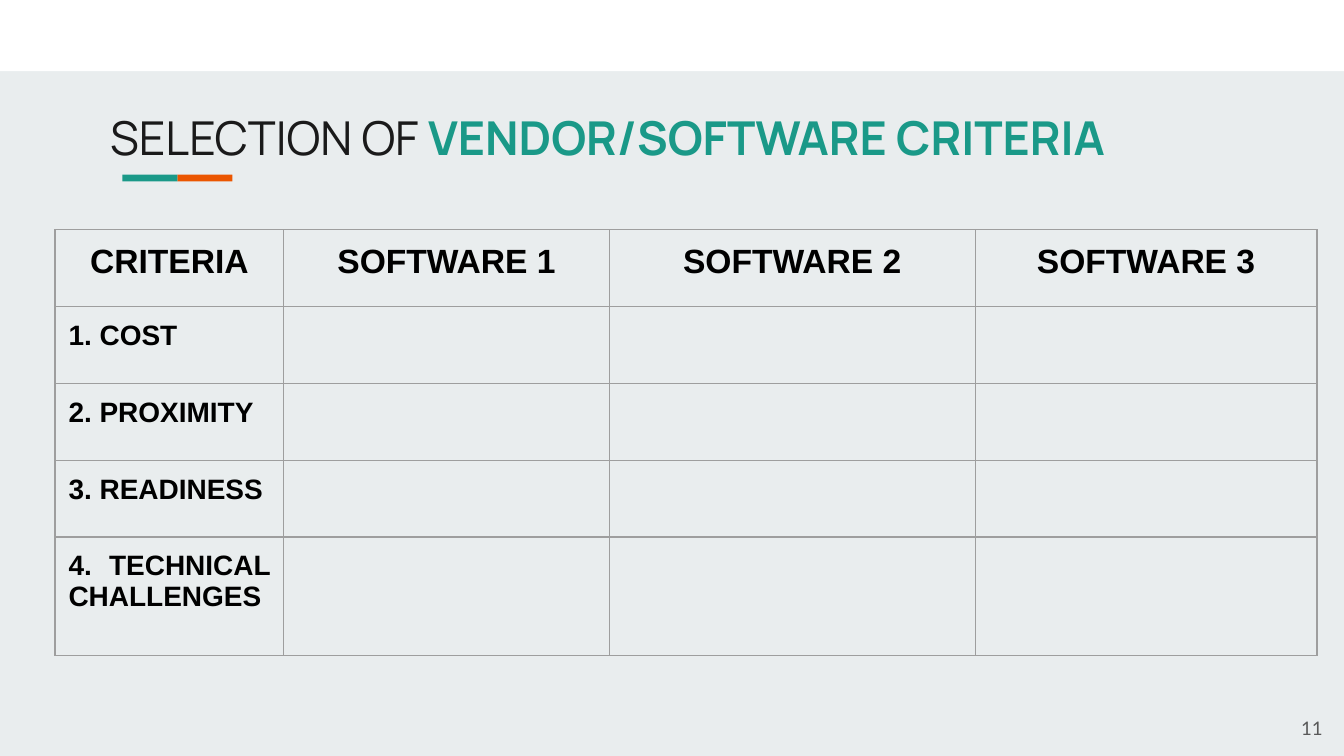
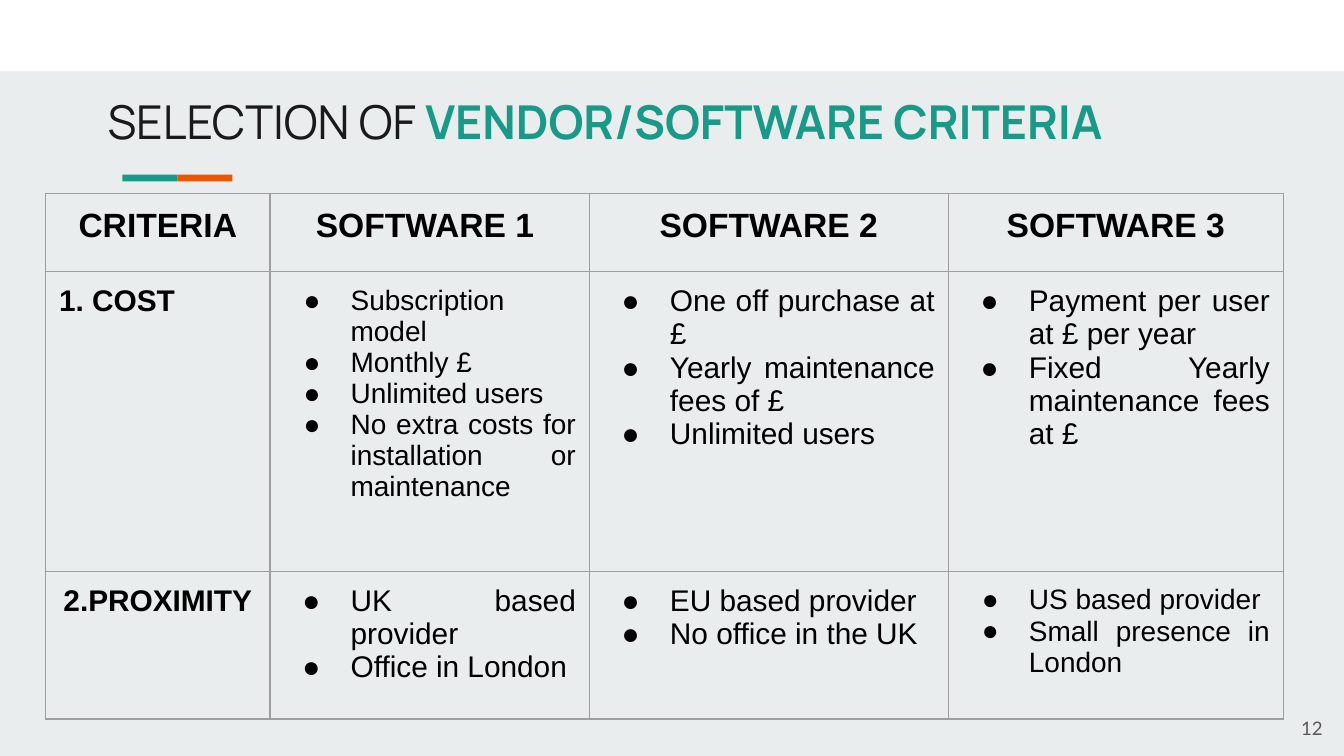
import pptx
import pptx.dml.color
import pptx.enum.shapes
import pptx.enum.text
import pptx.oxml
import pptx.oxml.ns
import pptx.util

Inches, Pt = pptx.util.Inches, pptx.util.Pt
RGBColor = pptx.dml.color.RGBColor
ALIGN = pptx.enum.text.PP_ALIGN
ANCHOR = pptx.enum.text.MSO_ANCHOR

PAPER = RGBColor(0xE9, 0xED, 0xEE)
WHITE = RGBColor(0xFF, 0xFF, 0xFF)
TEAL = RGBColor(0x1A, 0x99, 0x88)
ORANGE = RGBColor(0xEB, 0x56, 0x00)
INK = RGBColor(0x1A, 0x1A, 0x1A)
BLACK = RGBColor(0x00, 0x00, 0x00)
GREY = RGBColor(0x59, 0x59, 0x59)
BORDER = RGBColor(0x9E, 0x9E, 0x9E)

SLIDE_WIDTH = 10
SLIDE_HEIGHT = SLIDE_WIDTH * 9 / 16
BAR_LEFT, BAR_TOP, BAR_WIDTH, BAR_HEIGHT = 0.91, 1.3, 0.41, 0.05
COLUMN_WEIGHTS = (1.7, 2.42, 2.72, 2.54)
BULLET_LEFT = 0.5

# Left, top, width, height and fill of the shapes on every slide
DECORATION = [
    (0, 0, SLIDE_WIDTH, 0.53, WHITE),
    (BAR_LEFT + BAR_WIDTH, BAR_TOP, BAR_WIDTH, BAR_HEIGHT, ORANGE),
    (BAR_LEFT, BAR_TOP, BAR_WIDTH, BAR_HEIGHT, TEAL),
]
TITLE_RUNS = [
    ("SELECTION OF ", dict(size=Pt(25), name="Manrope", bold=False), INK),
    ("VENDOR/SOFTWARE CRITERIA", dict(size=Pt(25), name="Manrope", bold=True), TEAL),
]


# A cell is (label, size, alignment), or (list of bullets, size, alignment)
PAGES = [
    dict(
        number=11,
        title_box=(0.72, 0.71, 8.41, 1),
        table_box=(0.41, 1.71, 9.39, 3.17),
        row_weights=[0.57] * 4 + [0.88],
        rows=[
            [(name, 18, ALIGN.CENTER)
             for name in ("CRITERIA", "SOFTWARE 1", "SOFTWARE 2", "SOFTWARE 3")],
        ] + [
            [(label, 15, ALIGN.JUSTIFY)]
            for label in ("1. COST", "2. PROXIMITY", "3. READINESS",
                          "4. TECHNICAL CHALLENGES")
        ],
    ),
    dict(
        number=12,
        title_box=(0.7, 0.59, 8.41, 1.09),
        table_box=(0.34, 1.44, 9.21, 3.91),
        row_weights=[0.58, 2.23, 1.1],
        rows=[
            [(name, 18, ALIGN.CENTER)
             for name in ("CRITERIA", "SOFTWARE 1 ", "SOFTWARE 2", "SOFTWARE 3")],
            [
                ("1. COST", 16, ALIGN.LEFT),
                (["Subscription model", "Monthly £", "Unlimited users",
                  "No extra costs for installation or maintenance "], 15, ALIGN.JUSTIFY),
                (["One off purchase at £", "Yearly maintenance fees of £",
                  "Unlimited users"], 16, ALIGN.JUSTIFY),
                (["Payment per user at £ per year",
                  "Fixed Yearly maintenance fees at £"], 16, ALIGN.JUSTIFY),
            ],
            [
                ("2.PROXIMITY", 16, ALIGN.CENTER),
                (["UK based provider", "Office in London"], 16, ALIGN.JUSTIFY),
                (["EU based provider", "No office in the UK"], 16, ALIGN.JUSTIFY),
                (["US based provider", "Small presence in London"], 15, ALIGN.JUSTIFY),
            ],
        ],
    ),
]


def add_span(para, text, format_values, color):
    span = para.add_run()
    span.text = text
    for attribute, value in format_values.items():
        setattr(span.font, attribute, value)
    span.font.color.rgb = color


def format_frame(holder, anchor):
    """Give a text frame or table cell 0.1 inch margins and an anchor."""
    for side in ("left", "right", "top", "bottom"):
        setattr(holder, f"margin_{side}", Inches(0.1))
    holder.vertical_anchor = anchor


deck = pptx.Presentation()
deck.slide_width = Inches(SLIDE_WIDTH)
deck.slide_height = Inches(SLIDE_HEIGHT)
background = deck.slide_master.background.fill
background.solid()
background.fore_color.rgb = PAPER
title_only = deck.slide_layouts[5]
namespace = pptx.oxml.ns.nsdecls("a")

for page in PAGES:
    slide = deck.slides.add_slide(title_only)

    for left, top, width, height, color in DECORATION:
        band = slide.shapes.add_shape(
            pptx.enum.shapes.MSO_SHAPE.RECTANGLE,
            *map(Inches, (left, top, width, height)))
        band.shadow.inherit = False
        band.fill.solid()
        band.fill.fore_color.rgb = color
        band.line.fill.background()

    title = slide.shapes.title
    title.left, title.top, title.width, title.height = map(Inches, page["title_box"])
    format_frame(title.text_frame, ANCHOR.TOP)
    title.text_frame.auto_size = pptx.enum.text.MSO_AUTO_SIZE.NONE
    title_para = title.text_frame.paragraphs[0]
    title_para.alignment = ALIGN.LEFT
    for text, format_values, color in TITLE_RUNS:
        add_span(title_para, text, format_values, color)

    table_width, table_height = page["table_box"][2:]
    table = slide.shapes.add_table(
        len(page["rows"]), len(COLUMN_WEIGHTS), *map(Inches, page["table_box"])).table
    table.first_row = False
    table.horz_banding = False
    for column, weight in zip(table.columns, COLUMN_WEIGHTS):
        column.width = Inches(table_width * weight / sum(COLUMN_WEIGHTS))
    for row, weight in zip(table.rows, page["row_weights"]):
        row.height = Inches(table_height * weight / sum(page["row_weights"]))

    for cell in table.iter_cells():
        format_frame(cell, ANCHOR.TOP)
        cell.fill.background()
        properties = cell._tc.get_or_add_tcPr()
        for position, edge in enumerate(("lnL", "lnR", "lnT", "lnB")):
            properties.insert(position, pptx.oxml.parse_xml(
                f'<a:{edge} {namespace} w="{Pt(0.75)}"><a:solidFill>'
                f'<a:srgbClr val="{BORDER}"/></a:solidFill></a:{edge}>'))

    for row_index, row_content in enumerate(page["rows"]):
        for column_index, (content, size, alignment) in enumerate(row_content):
            frame = table.cell(row_index, column_index).text_frame
            bulleted = isinstance(content, list)
            for line_index, text in enumerate(content if bulleted else [content]):
                para = frame.add_paragraph() if line_index else frame.paragraphs[0]
                para.alignment = alignment
                add_span(para, text,
                         dict(size=Pt(size), name="Arial", bold=not bulleted), BLACK)
                if bulleted:
                    para_properties = para._p.get_or_add_pPr()
                    hanging = 0.35 if size == 15 else 0.36
                    para_properties.set("marL", str(Inches(BULLET_LEFT)))
                    para_properties.set("indent", str(-Inches(hanging)))
                    for bullet_xml in (
                        f'<a:buClr {namespace}><a:srgbClr val="{BLACK}"/></a:buClr>',
                        f'<a:buFont {namespace} typeface="Arial"/>',
                        f'<a:buChar {namespace} char="●"/>',
                    ):
                        para_properties.append(pptx.oxml.parse_xml(bullet_xml))

    number_box = slide.shapes.add_textbox(*map(Inches, (9.57, 5.23, 0.37, 0.37)))
    format_frame(number_box.text_frame, ANCHOR.MIDDLE)
    number_box.text_frame.word_wrap = False
    number_para = number_box.text_frame.paragraphs[0]
    number_para.alignment = ALIGN.RIGHT
    add_span(number_para, str(page["number"]), dict(size=Pt(10), name="Lato"), GREY)

deck.save("out.pptx")
